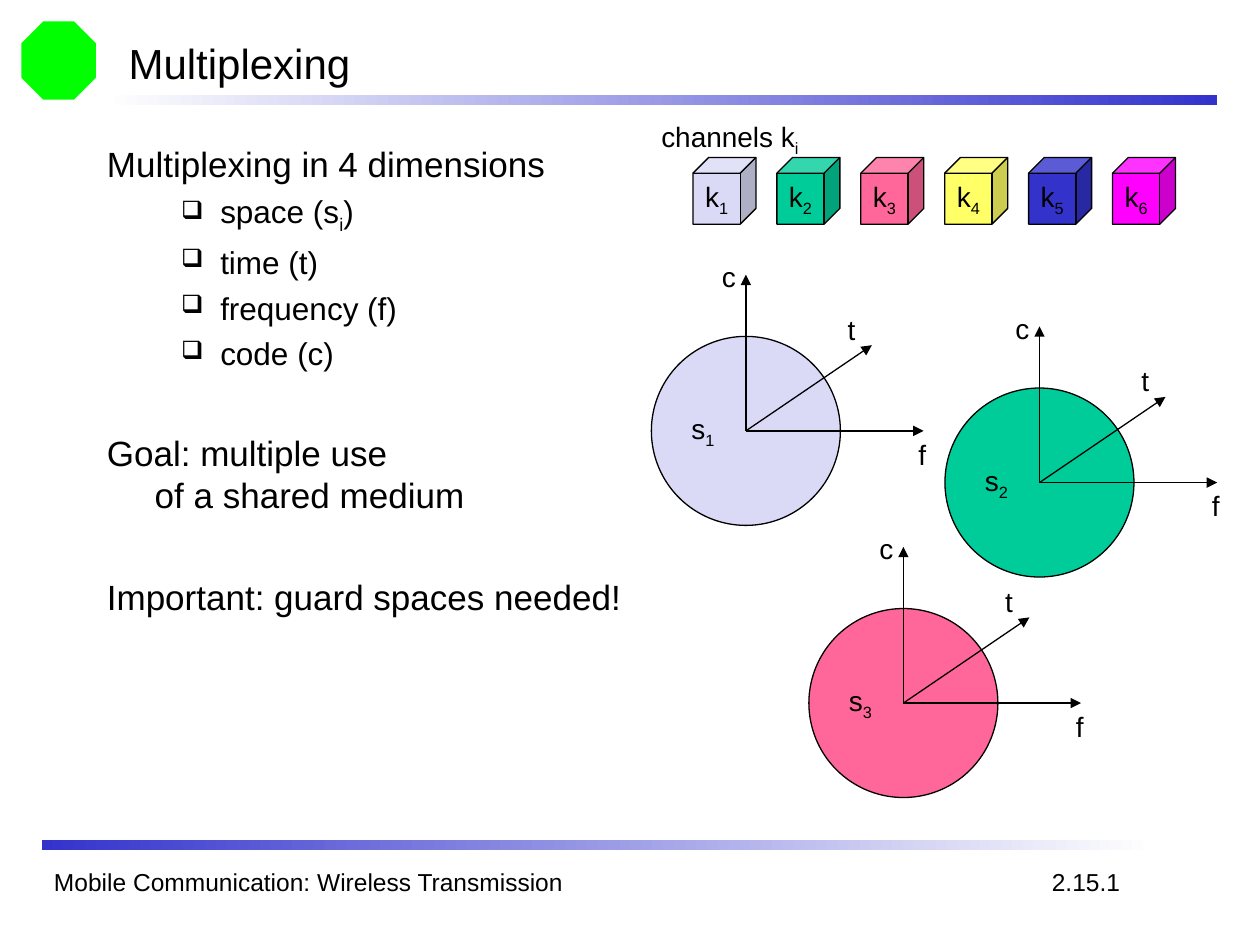
from dataclasses import dataclass

from lxml import etree
from pptx import Presentation
from pptx.dml.color import RGBColor
from pptx.enum import shapes, text
from pptx.oxml import ns
from pptx.util import Inches, Pt


@dataclass(frozen=True)
class Theme:
    font: str = "Arial"
    ink: str = "000000"
    paper: str = "FFFFFF"
    bar: str = "3333CC"
    emblem: str = "00FF00"
    channels: tuple = ("DADAF6", "00CC99", "FF6699", "FFFF66", "3333CC", "FF00FF")
    title_size: int = 24
    body_size: int = 20
    item_size: int = 18
    label_size: int = 16
    footer_size: int = 14
    line_width: float = 0.75


THEME = Theme()


def color(value):
    return RGBColor.from_string(value)


def add_xml(parent, tag, **attributes):
    return etree.SubElement(parent, ns.qn(tag), attributes)


def write_paragraph(paragraph, size, base, subscript="", ending=""):
    paragraph.font.name = THEME.font
    paragraph.font.size = Pt(size)
    paragraph.font.color.rgb = color(THEME.ink)
    for content, baseline in ((base, None), (subscript, "-25000"), (ending, None)):
        for index, line in enumerate(content.splitlines()):
            if index:
                paragraph.add_line_break()
            run = paragraph.add_run()
            run.text = line
            if baseline:
                run._r.get_or_add_rPr().set("baseline", baseline)


def add_label(slide, box, size, base, subscript="", wrap=False):
    label = slide.shapes.add_textbox(*map(Inches, box))
    label.text_frame.word_wrap = wrap
    write_paragraph(label.text_frame.paragraphs[0], size, base, subscript)


def add_solid(slide, kind, box, fill, outlined=True):
    shape = slide.shapes.add_shape(kind, *map(Inches, box))
    shape.shadow.inherit = False
    shape.fill.solid()
    shape.fill.fore_color.rgb = color(fill)
    if outlined:
        shape.line.color.rgb = color(THEME.ink)
        shape.line.width = Pt(THEME.line_width)
    else:
        shape.line.fill.background()
    return shape


def add_marked_shape(slide, kind, box, fill, alignment, base, subscript):
    shape = add_solid(slide, kind, box, fill)
    frame = shape.text_frame
    frame.word_wrap = False
    frame.vertical_anchor = text.MSO_ANCHOR.MIDDLE
    frame.paragraphs[0].alignment = alignment
    write_paragraph(frame.paragraphs[0], THEME.label_size, base, subscript)


def add_gradient_bar(slide, box, start, end):
    bar = add_solid(slide, shapes.MSO_SHAPE.RECTANGLE, box, start, outlined=False)
    bar.fill.gradient()
    bar.fill.gradient_angle = 0
    for stop, position, value in zip(bar.fill.gradient_stops, (0, 1), (start, end)):
        stop.position = position
        stop.color.rgb = color(value)


def add_header(slide, box):
    left, top, width, height = box
    add_solid(slide, shapes.MSO_SHAPE.OCTAGON, (0.17, 0.17, 0.59, 0.62),
              THEME.emblem, outlined=False)
    add_gradient_bar(slide, (0.83, top + height, 8.83, 0.08), THEME.paper, THEME.bar)
    title = slide.shapes.title
    title.left, title.top, title.width, title.height = map(Inches, box)
    title.text_frame.vertical_anchor = text.MSO_ANCHOR.MIDDLE
    paragraph = title.text_frame.paragraphs[0]
    paragraph.alignment = text.PP_ALIGN.LEFT
    write_paragraph(paragraph, THEME.title_size, "Multiplexing")


def add_footer(slide, box):
    left, top, width, height = box
    add_gradient_bar(slide, (left, top, width, 0.08), THEME.bar, THEME.paper)
    add_label(slide, (left, top + 0.16, 4.92, 0.33), THEME.footer_size,
              "Mobile Communication: Wireless Transmission", wrap=True)
    add_label(slide, (8.25, top + 0.16, 0.74, 0.34), THEME.footer_size, "2.15.1")


def add_body(slide, box):
    frame = slide.shapes.add_textbox(*map(Inches, box)).text_frame
    frame.word_wrap = True
    section_gap = 34
    lines = (
        (False, 0, ("Multiplexing in 4 dimensions",)),
        (True, 4.5, ("space (s", "i", ")")),
        (True, 4.5, ("time (t)",)),
        (True, 4.5, ("frequency (f)",)),
        (True, 4.5, ("code (c)",)),
        (False, section_gap, ("Goal: multiple use\nof a shared medium",)),
        (False, section_gap, ("Important: guard spaces needed!",)),
    )
    for index, (is_item, gap, parts) in enumerate(lines):
        paragraph = frame.add_paragraph() if index else frame.paragraphs[0]
        paragraph.space_before = Pt(gap)
        size = THEME.item_size if is_item else THEME.body_size
        margin, indent = (0.9, -0.31) if is_item else (0.38, -0.38)
        properties = paragraph._p.get_or_add_pPr()
        properties.set("marL", str(Inches(margin)))
        properties.set("indent", str(Inches(indent)))
        if is_item:
            bullet_color = add_xml(properties, "a:buClr")
            add_xml(bullet_color, "a:srgbClr", val=THEME.ink)
            add_xml(properties, "a:buSzPct", val="80000")
            add_xml(properties, "a:buChar", char="❑")
        write_paragraph(paragraph, size, *parts)


def add_channels(slide, box):
    left, top, width, height = box
    add_label(slide, (left - 0.35, top - 0.35, 1.29, 0.41), THEME.label_size,
              "channels k", "i")
    cube_width = 0.5
    pitch = (width - cube_width) / (len(THEME.channels) - 1)
    for index, fill in enumerate(THEME.channels):
        add_marked_shape(slide, shapes.MSO_SHAPE.CUBE,
                         (left + index * pitch, top, cube_width, height), fill,
                         text.PP_ALIGN.CENTER, "k", str(index + 1))


def add_axis(slide, start, end):
    axis = slide.shapes.add_connector(shapes.MSO_CONNECTOR.STRAIGHT,
                                      *map(Inches, (*start, *end)))
    axis.line.color.rgb = color(THEME.ink)
    axis.line.width = Pt(THEME.line_width)
    properties = axis._element.spPr
    add_xml(properties.find(ns.qn("a:ln")), "a:tailEnd", type="triangle")
    add_xml(properties, "a:effectLst")


def add_space(slide, box, number):
    left, top, width, height = box
    add_marked_shape(slide, shapes.MSO_SHAPE.OVAL, box, THEME.channels[number - 1],
                     text.PP_ALIGN.LEFT, "s", str(number))
    x, y = left + width / 2, top + height / 2
    axes = (
        ("t", (1, -0.68), (0.71, -0.99), 0.26),
        ("c", (0, -1.24), (-0.29, -1.41), 0.31),
        ("f", (1.41, 0), (1.27, 0), 0.26),
    )
    for name, tip, offset, label_width in axes:
        add_axis(slide, (x, y), (x + tip[0], y + tip[1]))
        add_label(slide, (x + offset[0], y + offset[1], label_width, 0.37),
                  THEME.label_size, name)


def main():
    presentation = Presentation()
    presentation.slide_width, presentation.slide_height = Inches(10), Inches(7.5)
    slide = presentation.slides.add_slide(presentation.slide_layouts[5])
    add_header(slide, (0.92, 0.25, 8.5, 0.5))
    add_footer(slide, (0.33, 6.67, 8.83, 0.5))
    add_body(slide, (0.75, 1.08, 8.5, 5.58))
    add_channels(slide, (5.5, 1.25, 3.83, 0.53))
    for number, left, top in ((2, 7.5, 3.08), (3, 6.42, 4.83), (1, 5.17, 2.67)):
        add_space(slide, (left, top, 1.5, 1.5), number)
    presentation.save("out.pptx")


if __name__ == "__main__":
    main()
